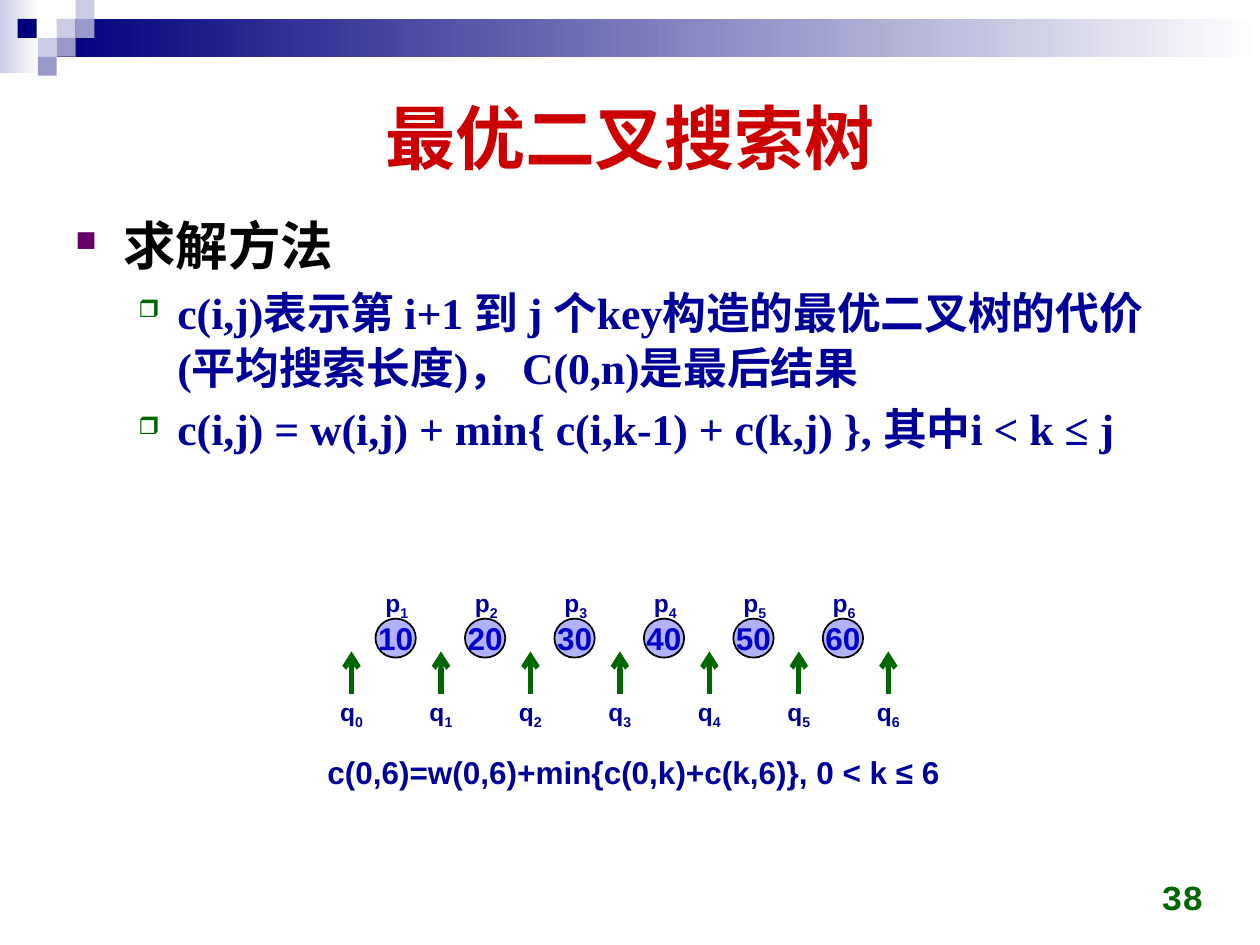
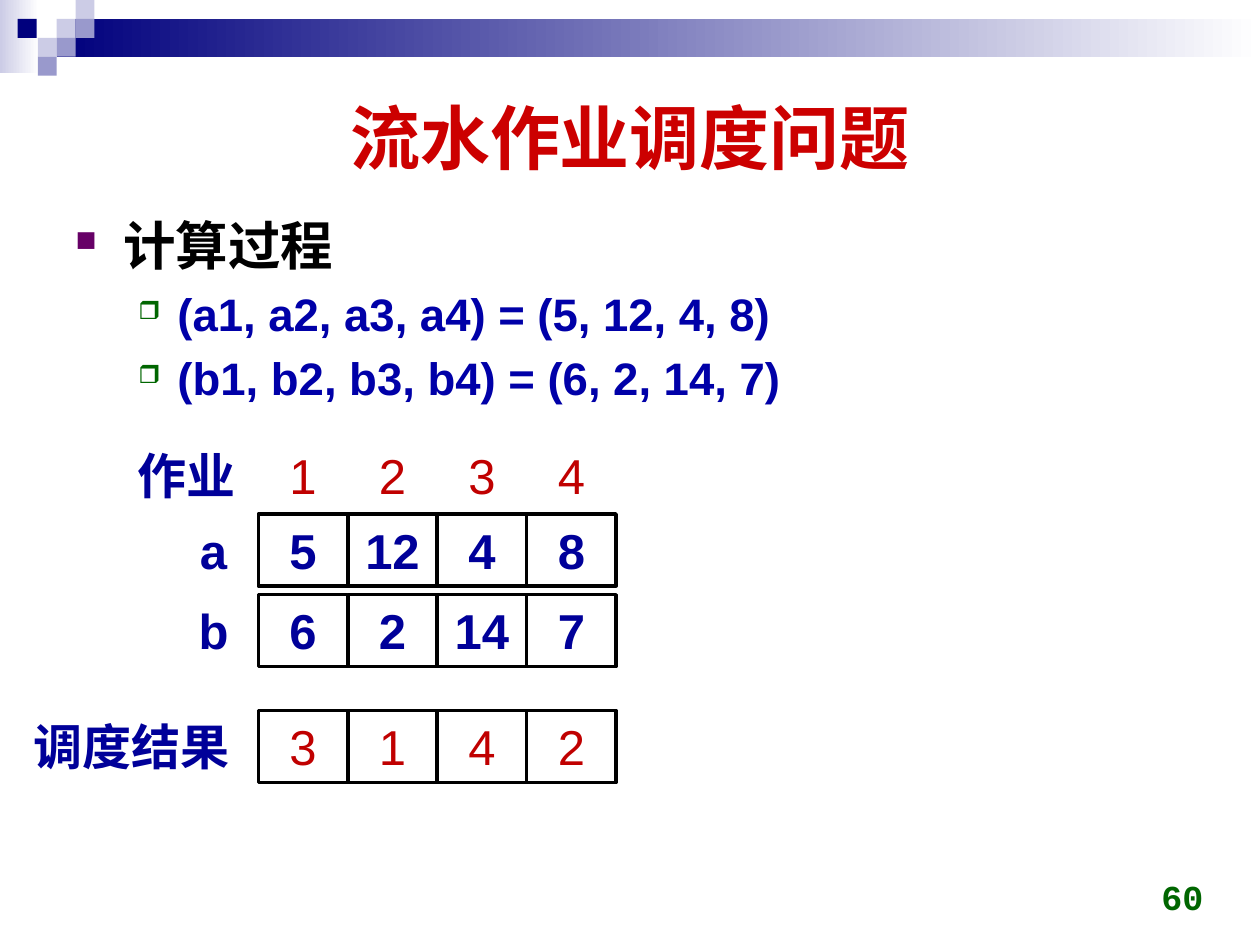
"""Build two algorithm lecture slides: optimal search trees and flow-shop scheduling."""
from dataclasses import dataclass
from typing import NamedTuple

from lxml import etree
from pptx import Presentation
from pptx.dml.color import RGBColor
from pptx.enum.shapes import MSO_CONNECTOR, MSO_SHAPE
from pptx.enum.text import MSO_ANCHOR, PP_ALIGN
from pptx.oxml.ns import qn
from pptx.util import Inches, Pt

RECT, OVAL = MSO_SHAPE.RECTANGLE, MSO_SHAPE.OVAL
STRAIGHT = MSO_CONNECTOR.STRAIGHT
LEFT, CENTER, RIGHT = PP_ALIGN.LEFT, PP_ALIGN.CENTER, PP_ALIGN.RIGHT
TOP, MIDDLE, BOTTOM = MSO_ANCHOR.TOP, MSO_ANCHOR.MIDDLE, MSO_ANCHOR.BOTTOM


@dataclass(frozen=True)
class Theme:
    """Colours, fonts and type sizes shared by the slides."""
    white: str = "FFFFFF"
    black: str = "000000"
    navy: str = "00007D"
    lavender: str = "CCCCE6"
    violet: str = "9999CC"
    title: str = "CC0000"
    text: str = "000099"
    list_blue: str = "0000A8"
    job: str = "C00000"
    green: str = "006600"
    purple: str = "660066"
    node_fill: str = "B2B2FF"
    node_text: str = "0000CC"
    sans: str = "Arial"
    serif: str = "Times New Roman"
    mono: str = "Courier New"
    title_size: int = 40
    heading_size: int = 30
    cell_size: int = 28
    number_size: int = 20
    node_size: int = 18
    label_size: int = 14


T = Theme()


class Box(NamedTuple):
    """Position and size in inches."""
    x: float
    y: float
    w: float
    h: float


class Tile(NamedTuple):
    """A header rectangle, solid or fading to a second colour."""
    box: Box
    color: str
    fade: str = ""


class Bullet(NamedTuple):
    """A bullet level with its character, colour and indents in inches."""
    level: int
    char: str
    color: str
    margin: float
    hanging: float


class Row(NamedTuple):
    """A labelled row of job values."""
    label: str
    label_width: float
    y: float
    values: tuple[int, ...]
    color: str
    bold: bool
    boxed: bool


SQUARE = 0.15
TILES = (
    Tile(Box(0, 0, 0.31, 0.58), T.lavender, T.white),
    Tile(Box(0.45, 0.15, 9.55, 0.3), T.navy, T.white),
    *(Tile(Box(x, y, SQUARE, SQUARE), color) for x, y, color in (
        (0.45, 0.15, T.lavender), (0.6, 0, T.lavender), (0.6, 0.15, T.violet),
        (0.3, 0.3, T.lavender), (0.14, 0.15, T.navy), (0.45, 0.3, T.violet),
        (0.3, 0.45, T.violet))),
)
HEADING = Bullet(0, "■", T.purple, 0.38, 0.38)
ITEM = Bullet(1, "❒", T.green, 0.81, 0.31)
PITCH = 0.71
ROWS = (
    Row("作业", 1.14, 3.49, (1, 2, 3, 4), T.job, False, False),
    Row("a", PITCH, 4.08, (5, 12, 4, 8), T.text, True, True),
    Row("b", PITCH, 4.72, (6, 2, 14, 7), T.text, True, True),
    Row("调度结果", 2.01, 5.64, (3, 1, 4, 2), T.job, False, True),
)


def inches(box: Box) -> list[int]:
    """Convert a box to slide lengths."""
    return [Inches(v) for v in box]


def add_run(p, text: str, *, size: float, color: str = T.text, font: str = T.sans,
            bold: bool = True, baseline: int = 0) -> None:
    """Append a formatted run to a paragraph."""
    r = p.add_run()
    r.text = text
    r.font.size, r.font.name, r.font.bold = Pt(size), font, bold
    r.font.color.rgb = RGBColor.from_string(color)
    if baseline:
        r.font._element.set("baseline", str(baseline * 1000))


def add_text(s, box: Box, text: str, *, sub: str = "", align=CENTER, anchor=TOP,
             wrap: bool = True, **style) -> None:
    """Add a one-paragraph text box with an optional subscript."""
    tf = s.shapes.add_textbox(*inches(box)).text_frame
    fill_frame(tf, text, sub=sub, align=align, anchor=anchor, wrap=wrap, **style)


def fill_frame(tf, text: str, *, sub: str = "", align=CENTER, anchor=TOP,
               wrap: bool = True, **style) -> None:
    """Write one aligned paragraph into a text frame."""
    tf.word_wrap, tf.vertical_anchor = wrap, anchor
    p = tf.paragraphs[0]
    p.alignment = align
    add_run(p, text, **style)
    if sub:
        add_run(p, sub, baseline=-25, **style)


def add_figure(s, kind, box: Box, *, fill: str = "", fade: str = "", line_width: float = 0):
    """Add a flat preset shape with the given fill and black outline."""
    shape = s.shapes.add_shape(kind, *inches(box))
    shape.shadow.inherit = False
    if fade:
        shape.fill.gradient()
        shape.fill.gradient_angle = 0
        for stop, color in zip(shape.fill.gradient_stops, (fill, fade)):
            stop.color.rgb = RGBColor.from_string(color)
    elif fill:
        shape.fill.solid()
        shape.fill.fore_color.rgb = RGBColor.from_string(fill)
    else:
        shape.fill.background()
    if line_width:
        shape.line.color.rgb = RGBColor.from_string(T.black)
        shape.line.width = Pt(line_width)
    else:
        shape.line.fill.background()
    return shape


def add_arrow(s, x: float, bottom: float, top: float) -> None:
    """Add an upward green arrow."""
    c = s.shapes.add_connector(STRAIGHT, *inches(Box(x, bottom, x, top)))
    c.line.color.rgb = RGBColor.from_string(T.green)
    c.line.width = Pt(3)
    sp_pr = c.element.spPr
    etree.SubElement(sp_pr.find(qn("a:ln")), qn("a:tailEnd"), type="arrow")
    etree.SubElement(sp_pr, qn("a:effectLst"))


def set_bullet(p, bullet: Bullet) -> None:
    """Give a paragraph its level, spacing, indents and bullet."""
    p.level, p.line_spacing = bullet.level, 1.05
    p_pr = p._p.get_or_add_pPr()
    p_pr.set("marL", str(Inches(bullet.margin)))
    p_pr.set("indent", str(-Inches(bullet.hanging)))
    before = etree.SubElement(p_pr, qn("a:spcBef"))
    etree.SubElement(before, qn("a:spcPct"), val="15000")
    color = etree.SubElement(p_pr, qn("a:buClr"))
    etree.SubElement(color, qn("a:srgbClr"), val=bullet.color)
    etree.SubElement(p_pr, qn("a:buSzPct"), val="55000")
    etree.SubElement(p_pr, qn("a:buChar"), char=bullet.char)


def add_body(s, heading: str, items: tuple[str, ...], *, font: str, size: float,
             color: str) -> None:
    """Add a heading with its bulleted items."""
    tf = s.shapes.add_textbox(*inches(Box(0.5, 1.62, 9, 5.2))).text_frame
    tf.word_wrap = True
    p = tf.paragraphs[0]
    set_bullet(p, HEADING)
    add_run(p, heading, size=T.heading_size, color=T.black, font=font)
    for item in items:
        p = tf.add_paragraph()
        set_bullet(p, ITEM)
        add_run(p, item, size=size, color=color, font=font)


def add_base(prs, title: str, number: int):
    """Add a slide with the header band, title and page number."""
    s = prs.slides.add_slide(prs.slide_layouts[6])
    for tile in TILES:
        add_figure(s, RECT, tile.box, fill=tile.color, fade=tile.fade)
    add_text(s, Box(0.5, 0.5, 9, 1.16), title, anchor=MIDDLE, size=T.title_size, color=T.title)
    add_text(s, Box(7.32, 6.83, 2.33, 0.5), str(number), align=RIGHT, anchor=BOTTOM,
             size=T.number_size, color=T.green, font=T.mono)
    return s


def add_search_tree(prs) -> None:
    """Add the optimal binary search tree slide."""
    s = add_base(prs, "最优二叉搜索树", 38)
    add_body(s, "求解方法", (
        "c(i,j)表示第 i+1 到 j 个key构造的最优二叉树的代价(平均搜索长度)， C(0,n)是最后结果",
        "c(i,j) = w(i,j) + min{ c(i,k-1) + c(k,j) }, 其中i < k ≤ j",
    ), font=T.serif, size=25, color=T.text)
    keys = range(10, 70, 10)
    for i, key in enumerate(keys):
        x = 2.98 + i * PITCH
        node = add_figure(s, OVAL, Box(x, 4.91, 0.32, 0.31), fill=T.node_fill, line_width=1)
        fill_frame(node.text_frame, str(key), anchor=MIDDLE, wrap=False,
                   size=T.node_size, color=T.node_text)
        add_text(s, Box(x - 0.03, 4.62, 0.4, 0.34), "p", sub=str(i + 1), wrap=False,
                 size=T.label_size)
    for i in range(len(keys) + 1):
        x = 2.79 + i * PITCH
        add_arrow(s, x, 5.51, 5.17)
        add_text(s, Box(x - 0.2, 5.48, 0.4, 0.34), "q", sub=str(i), wrap=False,
                 size=T.label_size)
    add_text(s, Box(2.5, 5.93, 5.18, 0.4), "c(0,6)=w(0,6)+min{c(0,k)+c(k,6)}, 0 < k ≤ 6",
             align=LEFT, wrap=False, size=T.node_size)


def add_flow_shop(prs) -> None:
    """Add the flow-shop scheduling slide."""
    s = add_base(prs, "流水作业调度问题", 60)
    add_body(s, "计算过程", (
        "(a1, a2, a3, a4) = (5, 12, 4, 8)",
        "(b1, b2, b3, b4) = (6, 2, 14, 7)",
    ), font=T.sans, size=26, color=T.list_blue)
    left, height = 2.05, 0.57
    for row in ROWS:
        add_text(s, Box(left - row.label_width, row.y, row.label_width, height), row.label,
                 size=T.cell_size)
        for i, value in enumerate(row.values):
            cell = add_figure(s, RECT, Box(left + i * PITCH, row.y, PITCH, height),
                              line_width=2 if row.boxed else 0)
            fill_frame(cell.text_frame, str(value), size=T.cell_size, color=row.color,
                       bold=row.bold)


def main() -> None:
    """Build and save the presentation."""
    prs = Presentation()
    prs.slide_width, prs.slide_height = Inches(10), Inches(7.5)
    add_search_tree(prs)
    add_flow_shop(prs)
    prs.save("out.pptx")


if __name__ == "__main__":
    main()
